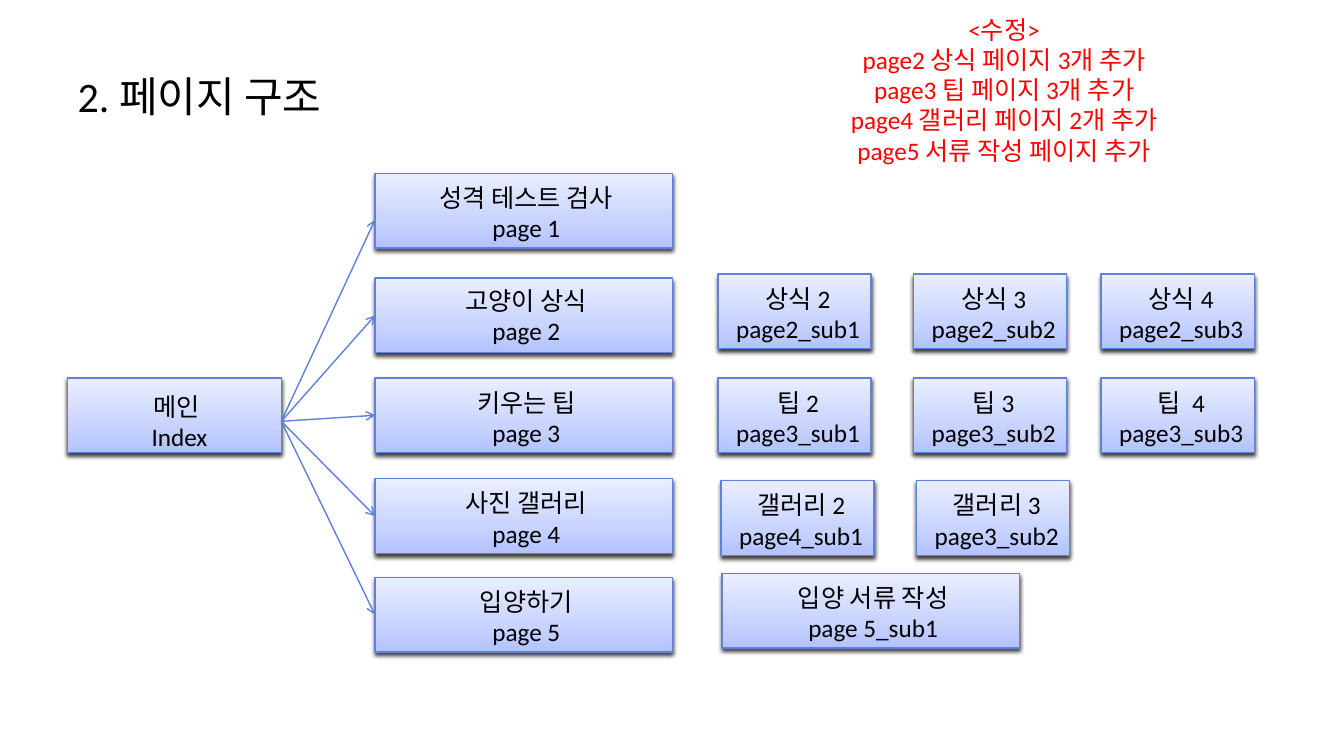
from pptx import Presentation
from pptx.dml.color import RGBColor
from pptx.enum.dml import MSO_FILL
from pptx.enum.shapes import MSO_CONNECTOR, MSO_SHAPE
from pptx.enum.text import MSO_ANCHOR, MSO_AUTO_SIZE, PP_ALIGN
from pptx.oxml import parse_xml
from pptx.oxml.ns import nsdecls
from pptx.util import Inches, Pt

RECTANGLE = MSO_SHAPE.RECTANGLE
STRAIGHT = MSO_CONNECTOR.STRAIGHT
CENTER, LEFT = PP_ALIGN.CENTER, PP_ALIGN.LEFT
MIDDLE = MSO_ANCHOR.MIDDLE
GROW = MSO_AUTO_SIZE.SHAPE_TO_FIT_TEXT
LEFT_SIDE, RIGHT_SIDE = 1, 3

COLORS = {
    "text": "000000", "note": "FF0000", "line": "5E81D9", "shadow": "000000",
    "bottom": "B2C2FF", "lower": "C8D3FF", "top": "EAEEFF",
}
GRADIENT = {0: "bottom", 35: "lower", 100: "top"}
FONT = "Calibri"
BOX_HEIGHT = 0.74
LABEL_HEIGHT = 0.7
PAGE_LEFT, PAGE_WIDTH = 3.72, 2.95
SUB_WIDTH = 1.52

# top of the box, label offset from it, lines
PAGES = [
    (1.72, 0.04, ["성격 테스트 검사", "page 1"]),
    (2.76, 0.02, ["고양이 상식", "page 2"]),
    (3.75, 0.04, ["키우는 팁", "page 3"]),
    (4.75, 0.04, ["사진 갤러리", "page 4"]),
    (5.73, 0.04, ["입양하기", "page 5"]),
]
# top of the row, lefts of its boxes, lines of each box
SUB_ROWS = [
    (2.72, [7.12, 9.06, 10.92], [["상식 2", "page2_sub1"], ["상식 3", "page2_sub2"],
                                 ["상식 4", "page2_sub3"]]),
    (3.75, [7.12, 9.06, 10.92], [["팁 2", "page3_sub1"], ["팁 3", "page3_sub2"],
                                 ["팁  4", "page3_sub3"]]),
    (4.77, [7.15, 9.09], [["갤러리 2", "page4_sub1"], ["갤러리 3", "page3_sub2"]]),
]
CHANGES = ["<수정>", "page2 상식 페이지 3개 추가", "page3 팁 페이지 3개 추가",
           "page4 갤러리 페이지 2개 추가", "page5 서류 작성 페이지 추가"]


def color(name):
    return RGBColor.from_string(COLORS[name])


def write_lines(text_frame, lines, size=18, color_name="text", alignment=CENTER):
    for index, line in enumerate(lines):
        paragraph = text_frame.paragraphs[0] if index == 0 else text_frame.add_paragraph()
        paragraph.alignment = alignment
        run = paragraph.add_run()
        run.text = line
        for name, value in {"name": FONT, "size": Pt(size)}.items():
            setattr(run.font, name, value)
        run.font.color.rgb = color(color_name)


def add_label(slide, left, top, width, height, lines, color_name="text"):
    label = slide.shapes.add_textbox(*map(Inches, (left, top, width, height)))
    for name, value in {"word_wrap": True, "auto_size": GROW}.items():
        setattr(label.text_frame, name, value)
    write_lines(label.text_frame, lines, color_name=color_name)
    return label


def add_box(slide, left, top, width):
    """Add a rectangle with a vertical gradient and a soft shadow below."""
    box = slide.shapes.add_shape(RECTANGLE, *map(Inches, (left, top, width, BOX_HEIGHT)))
    box.fill.gradient()
    box.fill.gradient_angle = 90
    stops = "".join(
        f'<a:gs pos="{position * 1000}"><a:srgbClr val="{COLORS[name]}"/></a:gs>'
        for position, name in GRADIENT.items())
    properties = box._element.spPr
    old_stops = properties.find(".//{*}gsLst")
    old_stops.getparent().replace(
        old_stops, parse_xml(f'<a:gsLst {nsdecls("a")}>{stops}</a:gsLst>'))
    box.line.color.rgb = color("line")
    box.line.width = Pt(1)
    box.shadow.inherit = False
    properties.find("{*}effectLst").append(parse_xml(
        f'<a:outerShdw {nsdecls("a")} blurRad="{Pt(3)}" dist="{Pt(2)}" dir="5400000" '
        f'rotWithShape="0"><a:srgbClr val="{COLORS["shadow"]}">'
        '<a:alpha val="75000"/></a:srgbClr></a:outerShdw>'))
    return box


def add_page(slide, left, top, width, lines, label_offset=0.04, label_inset=0.05):
    box = add_box(slide, left, top, width)
    add_label(slide, left + 0.05, top + label_offset, width - label_inset,
              LABEL_HEIGHT, lines)
    return box


def add_arrow(slide, source, end_left, end_top):
    arrow = slide.shapes.add_connector(
        STRAIGHT, Inches(2.79), Inches(4.18), Inches(end_left), Inches(end_top))
    arrow.begin_connect(source, RIGHT_SIDE)
    arrow.line.color.rgb = color("line")
    arrow.line.width = Pt(1)
    arrow.line._get_or_add_ln().append(
        parse_xml(f'<a:tailEnd {nsdecls("a")} type="arrow"/>'))
    arrow._element.spPr.append(parse_xml(f'<a:effectLst {nsdecls("a")}/>'))
    return arrow


def add_title(slide, left, top, width, height):
    title = slide.shapes.title
    placement = {"left": left, "top": top, "width": width, "height": height}
    for name, value in placement.items():
        setattr(title, name, Inches(value))
    title.text_frame.vertical_anchor = MIDDLE
    write_lines(title.text_frame, ["2. 페이지 구조"], size=30, alignment=LEFT)


def add_index(slide, left, top, width):
    add_box(slide, left, top, width)
    return add_label(slide, left + 0.1, top + 0.08, width - 0.1, LABEL_HEIGHT,
                     ["메인 ", "Index"])


def add_main_pages(slide, index_label):
    for number, (top, label_offset, lines) in enumerate(PAGES):
        page = add_page(slide, PAGE_LEFT, top, PAGE_WIDTH, lines, label_offset)
        if number == 0:  # the first arrow ends a little below the middle
            add_arrow(slide, index_label, PAGE_LEFT, 2.18)
        else:
            arrow = add_arrow(slide, index_label, PAGE_LEFT, top + BOX_HEIGHT / 2)
            arrow.end_connect(page, LEFT_SIDE)


def add_sub_pages(slide):
    for top, lefts, labels in SUB_ROWS:
        for left, lines in zip(lefts, labels):
            add_page(slide, left, top, SUB_WIDTH, lines, label_inset=0.03)
    add_page(slide, 7.16, 5.69, PAGE_WIDTH, ["입양 서류 작성", "page 5_sub1"])


def main():
    presentation = Presentation()
    presentation.slide_width = Inches(13.33)
    presentation.slide_height = Inches(7.5)
    slide = presentation.slides.add_slide(presentation.slide_layouts[5])
    add_title(slide, 0.67, 0.32, 12, 1.25)
    index_label = add_index(slide, 0.67, 3.75, 2.12)
    add_main_pages(slide, index_label)
    add_label(slide, 6.76, 0.09, 6.4, 1.59, CHANGES, "note")
    add_sub_pages(slide)
    presentation.save("out.pptx")


if __name__ == "__main__":
    main()
